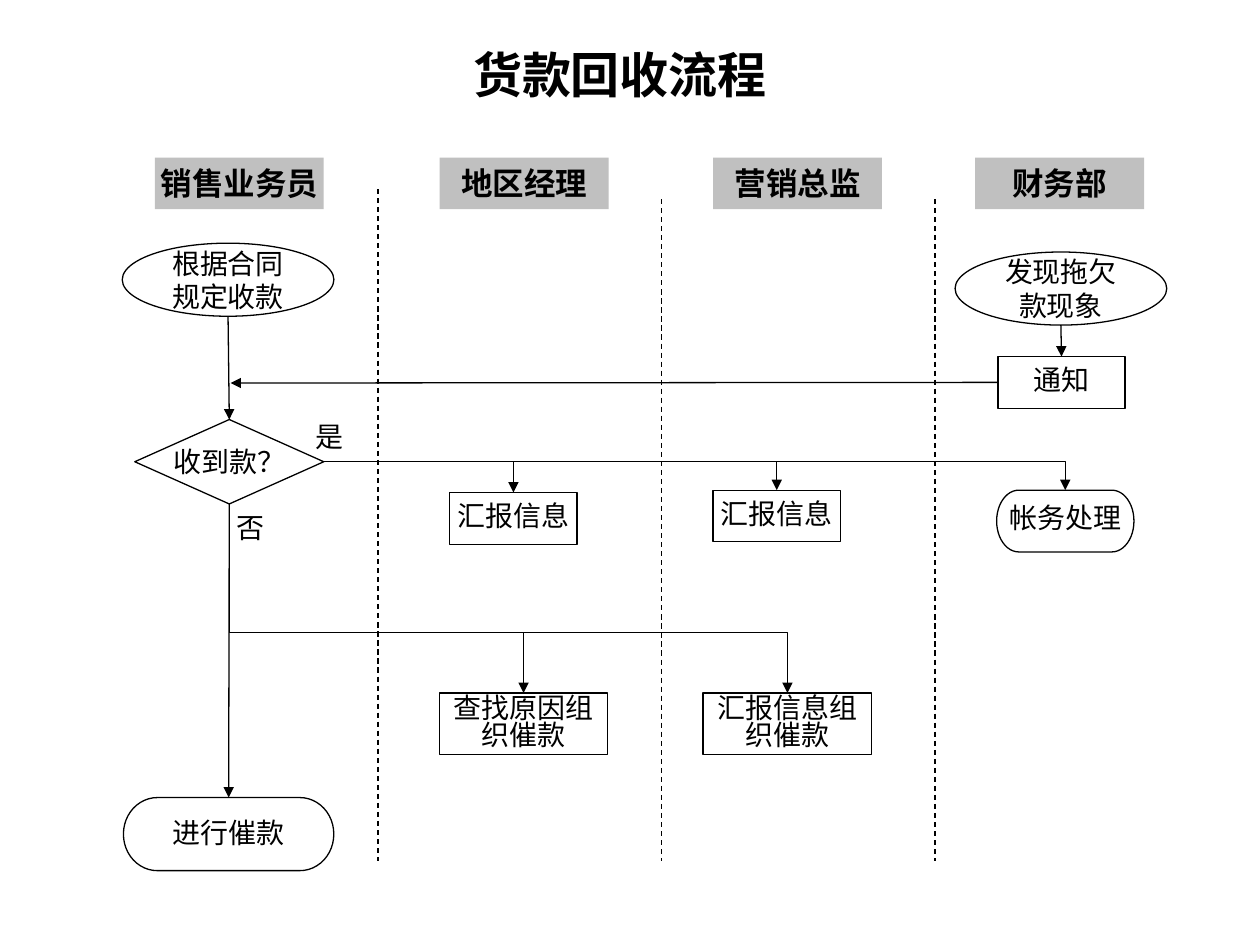
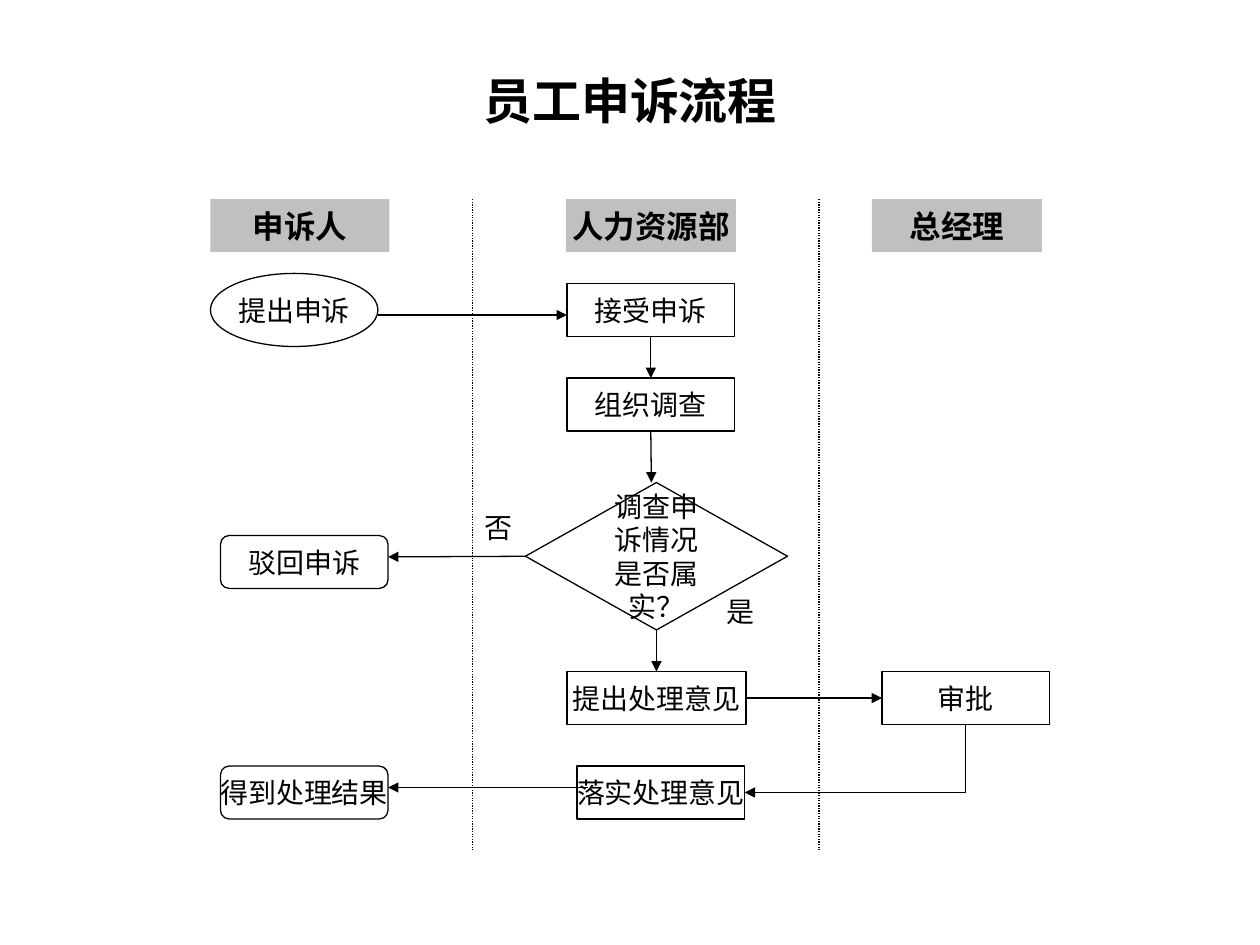
from lxml import etree
from pptx import Presentation
from pptx.dml.color import RGBColor
from pptx.enum.dml import MSO_LINE
from pptx.enum.shapes import MSO_CONNECTOR, MSO_SHAPE
from pptx.enum.text import MSO_ANCHOR, MSO_AUTO_SIZE, PP_ALIGN
from pptx.oxml.ns import qn
from pptx.util import Emu, Pt

PX = 9144
FONT = "Times New Roman"
COLORS = {"ink": "000000", "paper": "FFFFFF", "band": "C0C0C0"}
TITLE_SIZE, LANE_SIZE, STEP_SIZE = 28, 18, 16
LINE_WIDTH = 0.75
TOP, LEFT, BOTTOM, RIGHT = range(4)

KINDS = {
    "start": MSO_SHAPE.OVAL,
    "step": MSO_SHAPE.RECTANGLE,
    "choice": MSO_SHAPE.DIAMOND,
    "end": MSO_SHAPE.FLOWCHART_TERMINATOR,
    "result": MSO_SHAPE.FLOWCHART_ALTERNATE_PROCESS,
}

COLLECTION = {
    "title": ("货款回收流程", (67, 25, 850, 67)),
    "lane_row": (125, 41),
    "lanes": [("销售业务员", 123, 134), ("地区经理", 349, 134),
              ("营销总监", 566, 134), ("财务部", 774, 134)],
    "dividers": [(300, 150, 683), (525, 158, 683), (742, 158, 683)],
    "dash": MSO_LINE.DASH,
    "fill": None,
    "wrapped": {"collect", "overdue", "find_cause", "urge"},
    "spacing": {"dun": 0.9, "accounts": 0.7, "manager_report": 0.8, "director_report": 0.8,
                "find_cause": 0.8, "urge": 0.8, "notice": 0.8},
    "nodes": {
        "collect": ("start", "根据合同规定收款", (97, 193, 168, 58)),
        "overdue": ("start", "发现拖欠款现象", (758, 200, 168, 58)),
        "notice": ("step", "通知", (792, 283, 101, 41)),
        "paid": ("choice", "收到款？", (107, 333, 150, 67)),
        "manager_report": ("step", "汇报信息", (357, 391, 101, 41)),
        "director_report": ("step", "汇报信息", (566, 389, 101, 41)),
        "accounts": ("end", "帐务处理", (791, 389, 109, 49)),
        "find_cause": ("step", "查找原因组织催款", (349, 550, 133, 49)),
        "urge": ("step", "汇报信息组织催款", (558, 550, 134, 49)),
        "dun": ("end", "进行催款", (98, 633, 167, 58)),
    },
    "labels": [("是", (241, 328, 33, 37), PP_ALIGN.CENTER),
               ("否", (174, 400, 50, 37), PP_ALIGN.CENTER)],
    "arrows": [
        (("collect", BOTTOM), ("paid", TOP)),
        (("overdue", BOTTOM), ("notice", TOP)),
        (("notice", LEFT), (183, 304)),
        (("paid", BOTTOM), ("dun", TOP)),
    ],
    "elbows": [
        (("paid", RIGHT), ("manager_report", TOP), None),
        (("paid", RIGHT), ("director_report", TOP), None),
        (("paid", RIGHT), ("accounts", TOP), None),
        (("paid", BOTTOM), ("find_cause", TOP), 0.68),
        (("paid", BOTTOM), ("urge", TOP), 0.68),
    ],
}

APPEAL = {
    "title": ("员工申诉流程", (75, 42, 850, 75)),
    "lane_row": (158, 42),
    "lanes": [("申诉人", 167, 142), ("人力资源部", 449, 135), ("总经理", 692, 135)],
    "dividers": [(375, 158, 675), (650, 158, 675)],
    "dash": MSO_LINE.ROUND_DOT,
    "fill": "paper",
    "wrapped": {"verified"},
    "spacing": {},
    "nodes": {
        "appeal": ("start", "提出申诉", (167, 217, 133, 58)),
        "accept": ("step", "接受申诉", (450, 225, 133, 42)),
        "investigate": ("step", "组织调查", (450, 300, 133, 42)),
        "verified": ("choice", "调查申诉情况是否属实？", (417, 383, 208, 117)),
        "reject": ("result", "驳回申诉", (175, 425, 133, 42)),
        "propose": ("step", "提出处理意见", (450, 533, 142, 42)),
        "approve": ("step", "审批", (700, 533, 133, 42)),
        "carry_out": ("step", "落实处理意见", (458, 608, 133, 42)),
        "outcome": ("result", "得到处理结果", (175, 608, 133, 42)),
    },
    "labels": [("否", (375, 400, 67, 37), PP_ALIGN.LEFT),
               ("是", (567, 467, 67, 37), PP_ALIGN.LEFT)],
    "arrows": [
        ((300, 250), (450, 250)),
        (("accept", BOTTOM), ("investigate", TOP)),
        (("investigate", BOTTOM), (517, 383)),
        (("verified", LEFT), (308, 442)),
        (("verified", BOTTOM), ("propose", TOP)),
        (("propose", RIGHT), ("approve", LEFT)),
        ((467, 625), (308, 625)),
    ],
    "elbows": [(("approve", BOTTOM), ("carry_out", RIGHT), None)],
}


def color(name):
    return RGBColor.from_string(COLORS[name])


def scaled(values):
    return [Emu(round(value * PX)) for value in values]


def write(shape, text, size, bold=False, align=PP_ALIGN.CENTER, wrap=False, spacing=None):
    frame = shape.text_frame
    frame.text = text
    frame.word_wrap = wrap
    frame.auto_size = MSO_AUTO_SIZE.NONE
    para = frame.paragraphs[0]
    para.alignment = align
    if spacing:
        para.line_spacing = spacing
    font = para.runs[0].font
    font.name, font.size, font.bold = FONT, Pt(size), bold
    font.color.rgb = color("ink")


def add_box(page, kind, box, fill, outlined=True):
    shape = page.shapes.add_shape(kind, *scaled(box))
    shape.shadow.inherit = False
    if fill:
        shape.fill.solid()
        shape.fill.fore_color.rgb = color(fill)
    else:
        shape.fill.background()
    if outlined:
        shape.line.color.rgb = color("ink")
        shape.line.width = Pt(LINE_WIDTH)
    else:
        shape.line.fill.background()
    shape.text_frame.vertical_anchor = MSO_ANCHOR.MIDDLE
    return shape


def add_line(page, kind, begin, end, dash=None, arrow=False):
    line = page.shapes.add_connector(kind, *scaled(begin + end))
    line.line.color.rgb = color("ink")
    line.line.width = Pt(LINE_WIDTH)
    if dash:
        line.line.dash_style = dash
    properties = line._element.spPr
    if arrow:
        etree.SubElement(properties.find(qn("a:ln")), qn("a:tailEnd"), type="triangle")
    etree.SubElement(properties, qn("a:effectLst"))
    return line


def locate(spot, nodes):
    if spot[0] not in nodes:
        return spot
    name, side = spot
    left, top, width, height = nodes[name][2]
    across = {LEFT: 0, RIGHT: 1}.get(side, 0.5)
    down = {TOP: 0, BOTTOM: 1}.get(side, 0.5)
    return left + width * across, top + height * down


def add_arrow(page, begin, end, nodes, shapes):
    line = add_line(page, MSO_CONNECTOR.STRAIGHT, locate(begin, nodes), locate(end, nodes), arrow=True)
    for spot, join in ((begin, line.begin_connect), (end, line.end_connect)):
        if spot[0] in nodes and nodes[spot[0]][0] != "start":
            name, side = spot
            join(shapes[name], side)


def add_elbow(page, begin, end, bend, nodes):
    start, stop = locate(begin, nodes), locate(end, nodes)
    vertical = begin[1] in (TOP, BOTTOM)
    if vertical:
        middle_x, middle_y = (start[0] + stop[0]) / 2, (start[1] + stop[1]) / 2
        start, stop = [(middle_x + y - middle_y, middle_y - x + middle_x) for x, y in (start, stop)]
    line = add_line(page, MSO_CONNECTOR.ELBOW, start, stop, arrow=True)
    if vertical:
        line.rotation = 90
    geometry = line._element.spPr.find(qn("a:prstGeom"))
    if bend is None:
        geometry.set("prst", "bentConnector2")
    else:
        guides = geometry.find(qn("a:avLst"))
        etree.SubElement(guides, qn("a:gd"), name="adj1", fmla=f"val {round(bend * 100000)}")


def add_title(page, text, box):
    title = page.shapes.title
    title.left, title.top, title.width, title.height = scaled(box)
    title.text_frame.vertical_anchor = MSO_ANCHOR.MIDDLE
    write(title, text, TITLE_SIZE, bold=True, wrap=True)


def build_page(deck, flow):
    page = deck.slides.add_slide(deck.slide_layouts[5])
    nodes = flow["nodes"]
    add_title(page, *flow["title"])
    for x, top, bottom in flow["dividers"]:
        add_line(page, MSO_CONNECTOR.STRAIGHT, (x, top), (x, bottom), dash=flow["dash"])
    lane_top, lane_height = flow["lane_row"]
    for name, left, width in flow["lanes"]:
        lane = add_box(page, MSO_SHAPE.RECTANGLE, (left, lane_top, width, lane_height), "band", outlined=False)
        write(lane, name, LANE_SIZE, bold=True)
    shapes = {}
    for name, (kind, text, box) in nodes.items():
        fill = "paper" if kind == "choice" else flow["fill"]
        shapes[name] = add_box(page, KINDS[kind], box, fill)
        write(shapes[name], text, STEP_SIZE, wrap=name in flow["wrapped"],
              spacing=flow["spacing"].get(name))
    for text, box, align in flow["labels"]:
        write(page.shapes.add_textbox(*scaled(box)), text, STEP_SIZE, align=align, wrap=True)
    for begin, end in flow["arrows"]:
        add_arrow(page, begin, end, nodes, shapes)
    for begin, end, bend in flow["elbows"]:
        add_elbow(page, begin, end, bend, nodes)


def main():
    deck = Presentation()
    deck.slide_width, deck.slide_height = scaled((1000, 750))
    for flow in (COLLECTION, APPEAL):
        build_page(deck, flow)
    deck.save("out.pptx")


if __name__ == "__main__":
    main()
